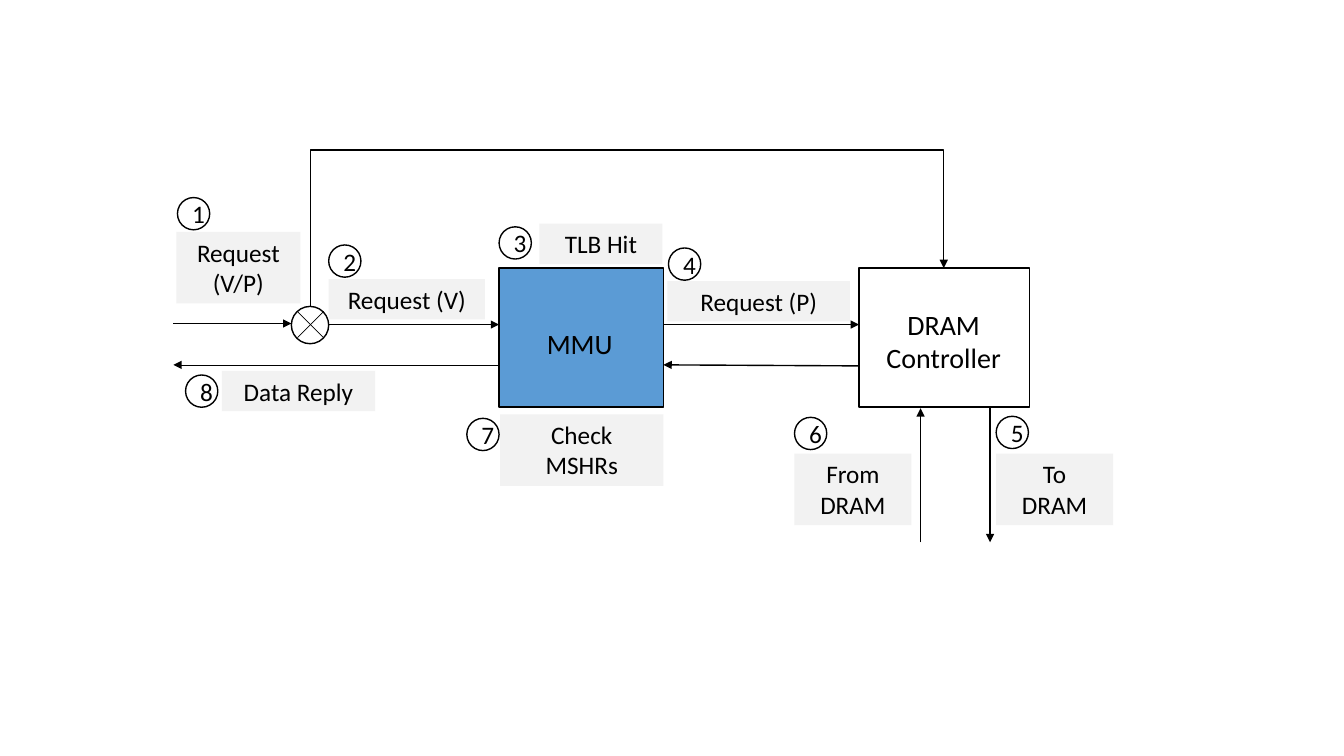
"""Build the slide showing a memory request passing through the MMU to DRAM."""
from pptx import Presentation
from pptx.dml.color import RGBColor
from pptx.enum import shapes, text
from pptx.oxml import ns
from pptx.util import Inches, Pt
from lxml import etree

BLACK = RGBColor(0x00, 0x00, 0x00)
WHITE = RGBColor(0xFF, 0xFF, 0xFF)
BLUE = RGBColor(0x5B, 0x9B, 0xD5)
GREY = RGBColor(0xF2, 0xF2, 0xF2)
FONT = "Calibri"
RECT = shapes.MSO_SHAPE.RECTANGLE
OVAL = shapes.MSO_SHAPE.OVAL
BADGE = 0.32

STEPS = [
    ("1", (1.76, 1.96), "Request\n(V/P)", (1.75, 2.3, 1.23, 0.71)),
    ("2", (3.26, 2.43), "Request (V)", (3.26, 2.77, 1.55, 0.4)),
    ("3", (4.95, 2.25), "TLB Hit", (5.35, 2.22, 1.22, 0.4)),
    ("4", (6.63, 2.46), "Request (P)", (6.62, 2.79, 1.81, 0.4)),
    ("5", (9.88, 4.13), "To\nDRAM", (9.88, 4.5, 1.16, 0.71)),
    ("6", (7.88, 4.14), "From DRAM", (7.88, 4.5, 1.16, 0.71)),
    ("8", (1.84, 3.72), "Data Reply", (2.2, 3.68, 1.52, 0.4)),
    ("7", (4.63, 4.15), "Check\nMSHRs", (4.96, 4.11, 1.62, 0.71)),
]

ARROWS = [
    ((3.26, 3.22), (4.95, 3.22), 1),
    ((9.13, 5.38), (9.13, 4.05), 1),
    ((4.95, 3.62), (1.72, 3.62), 0.5),
    ((6.58, 3.22), (8.52, 3.22), 1),
    ((8.52, 3.63), (6.58, 3.62), 1),
    ((1.72, 3.21), (2.89, 3.21), 1),
    ((9.82, 4.05), (9.82, 5.38), 1),
]


def write(sp, words, size, anchor):
    """Put centred black text in a shape."""
    tf = sp.text_frame
    tf.word_wrap = True
    tf.vertical_anchor = anchor
    p = tf.paragraphs[0]
    p.text = words
    p.alignment = text.PP_ALIGN.CENTER
    for r in p.runs:
        r.font.name = FONT
        r.font.size = Pt(size)
        r.font.color.rgb = BLACK


def add_box(s, kind, at, fill, outlined=True):
    """Add a flat filled shape, outlined in black if wanted."""
    sp = s.shapes.add_shape(kind, *map(Inches, at))
    sp.shadow.inherit = False
    sp.fill.solid()
    sp.fill.fore_color.rgb = fill
    if outlined:
        sp.line.color.rgb = BLACK
        sp.line.width = Pt(1)
    else:
        sp.line.fill.background()
    return sp


def add_label(s, words, at, fill=GREY, size=18):
    """Add a label without an outline, its text starting at the top."""
    sp = add_box(s, RECT, at, fill, outlined=False)
    write(sp, words, size, text.MSO_ANCHOR.TOP)


def add_badge(s, number, left, top):
    """Add a numbered step circle."""
    sp = add_box(s, OVAL, (left, top, BADGE, BADGE), WHITE)
    write(sp, number, 18, text.MSO_ANCHOR.MIDDLE)


def add_line(s, start, end, width, arrow=True, kind=shapes.MSO_CONNECTOR.STRAIGHT):
    """Add a black connector, with an arrowhead at its end if wanted."""
    line = s.shapes.add_connector(kind, *map(Inches, start + end))
    line.line.color.rgb = BLACK
    line.line.width = Pt(width)
    if arrow:
        etree.SubElement(line.line._get_or_add_ln(), ns.qn("a:tailEnd"), type="triangle")
    etree.SubElement(line._element.spPr, ns.qn("a:effectLst"))
    return line


def add_bypass(s, start, end, top):
    """Add an elbow arrow that rises to top, runs across and drops to end."""
    (x1, y1), (x2, y2) = start, end
    cx, cy = (x1 + x2) / 2, (y1 + y2) / 2
    dx, dy = (x2 - x1) / 2, (y1 - y2) / 2
    line = add_line(s, (cx + dy, cy + dx), (cx - dy, cy - dx), 1,
                    kind=shapes.MSO_CONNECTOR.ELBOW)
    spPr = line._element.spPr
    spPr.find(ns.qn("a:xfrm")).set("rot", str(90 * 60000))
    bend = round((y1 - top) / (y1 - y2) * 100000)
    guides = spPr.find(ns.qn("a:prstGeom")).find(ns.qn("a:avLst"))
    etree.SubElement(guides, ns.qn("a:gd"), name="adj1", fmla=f"val {bend}")


def add_junction(s):
    """Add the crossed circle where requests divide."""
    add_box(s, OVAL, (2.89, 3.04, 0.37, 0.37), WHITE)
    add_line(s, (3.21, 3.09), (2.95, 3.35), 0.5, arrow=False)
    add_line(s, (2.95, 3.09), (3.21, 3.35), 0.5, arrow=False)


def main():
    """Draw the request path and save the deck."""
    prs = Presentation()
    prs.slide_width, prs.slide_height = Inches(13.33), Inches(7.5)
    s = prs.slides.add_slide(prs.slide_layouts[6])
    add_box(s, RECT, (8.52, 2.66, 1.69, 1.38), WHITE)
    add_label(s, "DRAM Controller", (8.63, 3, 1.46, 0.77), WHITE, 20)
    add_box(s, RECT, (4.95, 2.66, 1.63, 1.38), BLUE)
    add_label(s, "MMU", (5.11, 3.19, 1.28, 0.44), BLUE, 20)
    add_junction(s)
    for start, end, width in ARROWS:
        add_line(s, start, end, width)
    add_bypass(s, (3.08, 3.04), (9.36, 2.66), 1.49)
    for number, corner, words, at in STEPS:
        add_label(s, words, at)
        add_badge(s, number, *corner)
    prs.save("out.pptx")


main()
